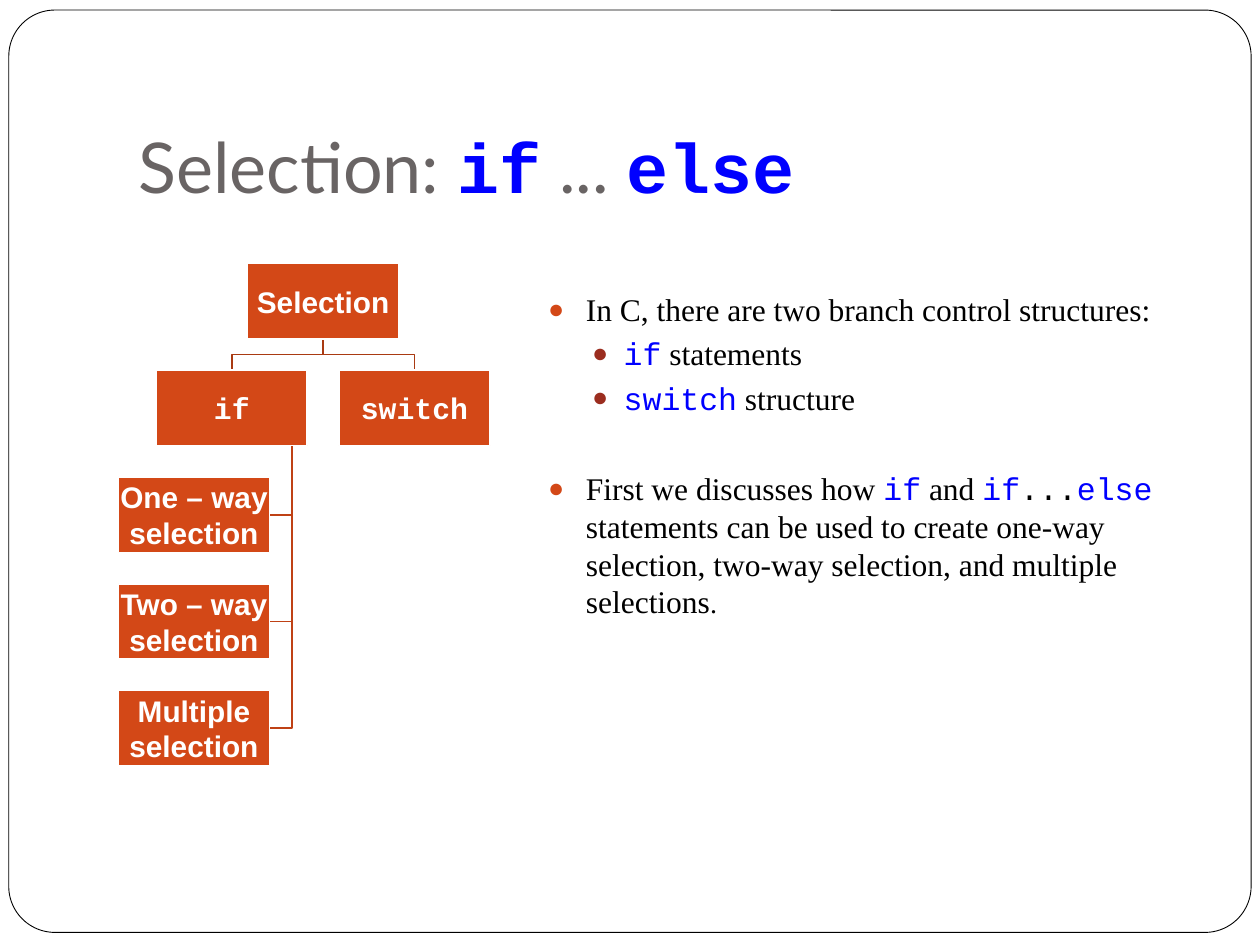
from lxml.etree import SubElement
from pptx import Presentation
from pptx.dml.color import RGBColor
from pptx.enum.shapes import MSO_SHAPE as Shape
from pptx.enum.text import MSO_ANCHOR as Anchor, MSO_AUTO_SIZE as AutoSize, PP_ALIGN as Align
from pptx.oxml.ns import qn
from pptx.util import Inches, Pt

COLORS = {
    "white": "FFFFFF", "black": "000000", "gray": "696464", "code": "0000FF",
    "orange": "D34817", "red": "9B2D1F", "branch": "A93A12", "twig": "BF4115",
}
SANS, SERIF, MONO, LABEL = "Lato", "Times New Roman", "Courier New", "Arial"
HEADING = {"name": SANS, "size": Pt(40), "bold": False, "color": "gray"}
HEADING_CODE = {**HEADING, "name": MONO, "bold": True, "color": "code"}
PROSE = {"name": SERIF, "size": Pt(18), "bold": False, "color": "black"}
SMALL = {**PROSE, "size": Pt(16)}
CODE = {**PROSE, "name": MONO, "color": "code"}
DOTS = {**CODE, "color": "black"}
NODE = {"name": LABEL, "size": Pt(17), "bold": True, "color": "white"}
NODE_CODE = {**NODE, "name": MONO}
BULLETS = [
    {"left": 0.3, "hang": 0.3, "before": 5.8, "color": "orange"},
    {"left": 0.6, "hang": 0.25, "before": 3.8, "color": "red"},
]


def rgb(name):
    """Return the named palette colour."""
    return RGBColor.from_string(COLORS[name])


def add_span(para, text, style):
    """Append a formatted run to a paragraph."""
    span = para.add_run()
    span.text = text
    for key, value in style.items():
        if key == "color":
            span.font.color.rgb = rgb(value)
        else:
            setattr(span.font, key, value)


def set_attributes(target, values):
    """Set every named value on the target."""
    for key, value in values.items():
        setattr(target, key, value)


def place(shape, box):
    """Move a shape to a box given in inches."""
    set_attributes(shape, dict(zip(("left", "top", "width", "height"), map(Inches, box))))


def paint(shape, line, width, fill=None):
    """Give a shape its line and fill and remove its shadow."""
    shape.shadow.inherit = False
    shape.line.color.rgb = rgb(line)
    shape.line.width = Pt(width)
    if fill:
        shape.fill.solid()
        shape.fill.fore_color.rgb = rgb(fill)
    else:
        shape.fill.background()


def add_frame(page, box):
    """Put the rounded page border behind everything else."""
    frame = page.shapes.add_shape(Shape.ROUNDED_RECTANGLE, *map(Inches, box))
    frame.adjustments[0] = 0.05
    paint(frame, "black", 0.5, "white")
    page.shapes.element.insert(2, frame.element)


def add_title(page, box):
    """Fill the title placeholder."""
    title = page.shapes.title
    place(title, box)
    set_attributes(title.text_frame, {
        "vertical_anchor": Anchor.BOTTOM, "word_wrap": True,
        "auto_size": AutoSize.NONE, "margin_bottom": Inches(0.1)})
    para = title.text_frame.paragraphs[0]
    para.alignment = Align.LEFT
    for text, style in (("Selection: ", HEADING), ("if", HEADING_CODE),
                        (" ... ", HEADING), ("else", HEADING_CODE)):
        add_span(para, text, style)


def set_bullet(para, level):
    """Apply the indent, spacing and bullet of a list level."""
    bullet = BULLETS[level]
    para.level = level
    para.space_before = Pt(bullet["before"])
    props = para._p.get_or_add_pPr()
    props.set("marL", str(Inches(bullet["left"])))
    props.set("indent", str(-Inches(bullet["hang"])))
    color = SubElement(props, qn("a:buClr"))
    SubElement(color, qn("a:srgbClr"), val=COLORS[bullet["color"]])
    SubElement(props, qn("a:buSzPct"), val="85000")
    SubElement(props, qn("a:buChar"), char="●")


def add_body(page, box):
    """Fill the body placeholder with the two-level list."""
    body = page.placeholders[1]
    place(body, box)
    set_attributes(body.text_frame, {
        "vertical_anchor": Anchor.TOP, "word_wrap": True, "auto_size": AutoSize.NONE})
    items = [
        (0, [("In C, there are two branch control structures:", PROSE)]),
        (1, [("if", CODE), (" statements", PROSE)]),
        (1, [("switch", CODE), (" structure", PROSE)]),
        (0, [("First we discusses how ", PROSE), ("if", CODE), (" and ", PROSE),
             ("if", CODE), ("...", DOTS), ("else", CODE),
             (" statements can be used to create one-way selection, "
              "two-way selection, and multiple selections", PROSE), (".", SMALL)]),
    ]
    for index, (level, spans) in enumerate(items):
        para = body.text_frame.add_paragraph() if index else body.text_frame.paragraphs[0]
        set_bullet(para, level)
        for text, style in spans:
            add_span(para, text, style)
    para.space_before = Pt(30)


def add_elbow(page, points, color):
    """Draw an open bent line through points given in inches."""
    corners = [(Inches(x), Inches(y)) for x, y in points]
    builder = page.shapes.build_freeform(*corners[0])
    builder.add_line_segments(corners[1:], close=False)
    paint(builder.convert_to_shape(), color, 1)


def add_node(page, box, text, style):
    """Draw one labelled box of the tree."""
    node = page.shapes.add_shape(Shape.RECTANGLE, *map(Inches, box))
    paint(node, "white", 1, "orange")
    frame = node.text_frame
    set_attributes(frame, {"word_wrap": True, "vertical_anchor": Anchor.MIDDLE})
    set_attributes(frame, {f"margin_{side}": Inches(0.01)
                           for side in ("left", "top", "right", "bottom")})
    frame.paragraphs[0].alignment = Align.CENTER
    add_span(frame.paragraphs[0], text, style)


def add_tree(page, box):
    """Draw the selection hierarchy inside its box."""
    left, top, width, height = box
    node_w, node_h = 1.2, 0.6
    step = (height - node_h) / 4
    rows = [top + step * row for row in range(5)]
    if_left, switch_left = left + 0.3, left + width - node_w
    root_left = (if_left + switch_left) / 2
    root_x, root_bottom = root_left + node_w / 2, top + node_h
    bend = (root_bottom + rows[1]) / 2
    trunk_x, trunk_top = if_left + node_w * 0.9, rows[1] + node_h

    for child_left in (switch_left, if_left):
        child_x = child_left + node_w / 2
        add_elbow(page, [(root_x, root_bottom), (root_x, bend),
                         (child_x, bend), (child_x, rows[1])], "branch")
    for row in reversed(rows[2:]):
        middle = row + node_h / 2
        add_elbow(page, [(trunk_x, trunk_top), (trunk_x, middle),
                         (left + node_w, middle)], "twig")

    nodes = [
        (root_left, rows[0], "Selection", NODE),
        (if_left, rows[1], "if", NODE_CODE),
        (left, rows[2], "One – way selection", NODE),
        (left, rows[3], "Two – way selection", NODE),
        (left, rows[4], "Multiple selection", NODE),
        (switch_left, rows[1], "switch", NODE_CODE),
    ]
    for x, y, text, style in nodes:
        add_node(page, (x, y, node_w, node_h), text, style)


def main():
    """Build the deck and save it."""
    deck = Presentation()
    deck.slide_width, deck.slide_height = Inches(10), Inches(7.5)
    page = deck.slides.add_slide(deck.slide_layouts[1])
    add_frame(page, (0.07, 0.08, 9.86, 7.32))
    add_title(page, (1, 0.5, 8.5, 1.25))
    add_body(page, (4.25, 2.25, 5.25, 5))
    add_tree(page, (0.94, 2.09, 2.95, 3.99))
    deck.save("out.pptx")


if __name__ == "__main__":
    main()
